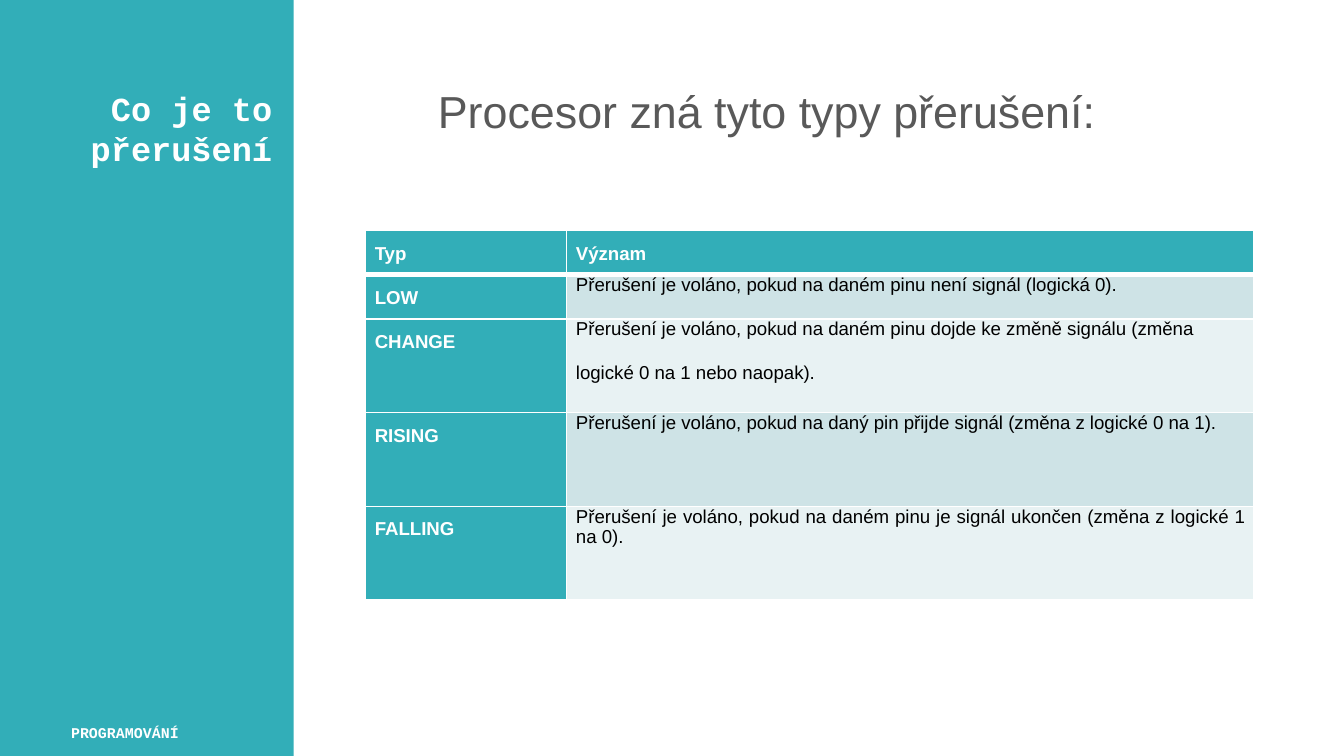
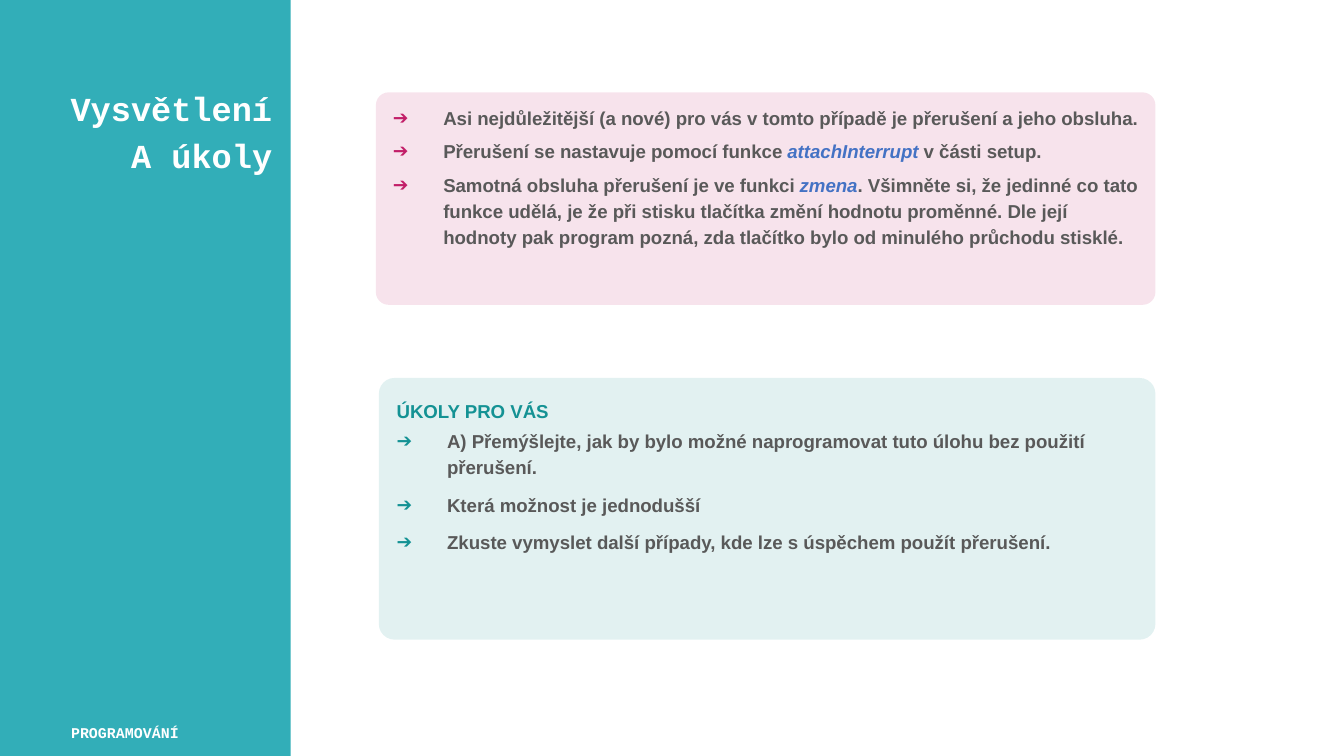
from lxml import etree
from pptx import Presentation
from pptx import util as u
from pptx.dml import color as c
from pptx.enum import shapes, text
from pptx.oxml import ns

# Colours
WHITE = c.RGBColor(0xFF, 0xFF, 0xFF)
BLACK = c.RGBColor(0x00, 0x00, 0x00)
GREY = c.RGBColor(0x59, 0x59, 0x59)
BLUE = c.RGBColor(0x44, 0x72, 0xC4)
TURQUOISE = c.RGBColor(0x32, 0xAE, 0xB8)
TEAL = c.RGBColor(0x14, 0x92, 0x94)
PINK = c.RGBColor(0xC2, 0x1E, 0x68)
ROW_DARK = c.RGBColor(0xCE, 0xE3, 0xE6)
ROW_LIGHT = c.RGBColor(0xE8, 0xF2, 0xF3)

# Fonts and sizes
BODY_FONT = "Arial"
TITLE_FONT = "Courier New"
SLIDE_WIDTH, SLIDE_HEIGHT = 720, 405
BAND_WIDTH = 158.4
TITLE_RIGHT = 153
TITLE_ONLY = 5

# Slide content
INTERRUPT_TYPES = [
    ("Typ", ["Význam"]),
    ("LOW", ["Přerušení je voláno, pokud na daném pinu není signál (logická 0)."]),
    ("CHANGE", ["Přerušení je voláno, pokud na daném pinu dojde ke změně signálu (změna",
                "logické 0 na 1 nebo naopak)."]),
    ("RISING", ["Přerušení je voláno, pokud na daný pin přijde signál (změna z logické 0 na 1)."]),
    ("FALLING", ["Přerušení je voláno, pokud na daném pinu je signál ukončen (změna z logické 1 na 0)."]),
]
# Words between asterisks are emphasised
EXPLANATION = [
    "Asi nejdůležitější (a nové) pro vás v tomto případě je přerušení a jeho obsluha.",
    "Přerušení se nastavuje pomocí funkce *attachInterrupt* v části setup.",
    "Samotná obsluha přerušení je ve funkci *zmena*. Všimněte si, že jedinné co tato funkce "
    "udělá, je že při stisku tlačítka změní hodnotu proměnné. Dle její hodnoty pak program "
    "pozná, zda tlačítko bylo od minulého průchodu stisklé.",
]
TASKS = [
    "A) Přemýšlejte, jak by bylo možné naprogramovat tuto úlohu bez použití přerušení.",
    "Která možnost je jednodušší",
    "Zkuste vymyslet další případy, kde lze s úspěchem použít přerušení.",
]


def add_xml(parent, tag, **attributes):
    return etree.SubElement(parent, ns.qn(tag), attributes)


class Deck:
    """Holds the shared style and the current slide."""

    def __init__(self):
        self.presentation = Presentation()
        self.presentation.slide_width = u.Pt(SLIDE_WIDTH)
        self.presentation.slide_height = u.Pt(SLIDE_HEIGHT)
        self.slide = None

    def style(self, paragraph, size, color, bold=False, name=BODY_FONT,
              align=text.PP_ALIGN.LEFT, line=None, before=0, after=0):
        paragraph.alignment = align
        paragraph.space_before = u.Pt(before)
        paragraph.space_after = u.Pt(after)
        if line:
            paragraph.line_spacing = u.Pt(line)
        font = paragraph.font
        font.name, font.size, font.bold = name, u.Pt(size), bold
        font.color.rgb = color

    def add_slide(self, title, band_left, title_left):
        layout = self.presentation.slide_layouts[TITLE_ONLY]
        self.slide = self.presentation.slides.add_slide(layout)
        self.band(band_left)
        self.title(title, title_left)
        footer = self.text_box("PROGRAMOVÁNÍ", (31, 384, 100, 17.3))
        self.style(footer.paragraphs[0], 8, WHITE, True, TITLE_FONT)

    def shape(self, kind, box, color):
        shape = self.slide.shapes.add_shape(kind, *map(u.Pt, box))
        shape.shadow.inherit = False
        shape.fill.solid()
        shape.fill.fore_color.rgb = color
        shape.line.fill.background()
        return shape

    def band(self, left):
        band = self.shape(shapes.MSO_SHAPE.RECTANGLE,
                          (left, 0, BAND_WIDTH, SLIDE_HEIGHT), TURQUOISE)
        # The band lies behind the title
        self.slide.shapes._spTree.insert(2, band._element)

    def title(self, wording, left):
        title = self.slide.shapes.title
        title.left, title.top = u.Pt(left), u.Pt(43.5)
        title.width, title.height = u.Pt(TITLE_RIGHT - left), u.Pt(113.8)
        frame = title.text_frame
        frame.text = wording
        frame.auto_size = text.MSO_AUTO_SIZE.NONE
        frame.vertical_anchor = text.MSO_ANCHOR.TOP
        for paragraph in frame.paragraphs:
            self.style(paragraph, 18, WHITE, True, TITLE_FONT,
                       text.PP_ALIGN.RIGHT, before=3.6)

    def text_box(self, wording, box):
        frame = self.slide.shapes.add_textbox(*map(u.Pt, box)).text_frame
        frame.text = wording
        frame.word_wrap = True
        frame.auto_size = text.MSO_AUTO_SIZE.SHAPE_TO_FIT_TEXT
        return frame

    def heading(self, wording, box):
        frame = self.text_box(wording, box)
        frame.vertical_anchor = text.MSO_ANCHOR.MIDDLE
        self.style(frame.paragraphs[0], 24, GREY, align=text.PP_ALIGN.JUSTIFY)

    def table(self, rows, left, top, widths, heights):
        frame = self.slide.shapes.add_table(
            len(rows), len(widths), *map(u.Pt, (left, top, sum(widths), sum(heights))))
        table = frame.table
        table.first_row = table.horz_banding = False
        for column, width in zip(table.columns, widths):
            column.width = u.Pt(width)
        for index, (kind, meaning) in enumerate(rows):
            table.rows[index].height = u.Pt(heights[index])
            label, description = table.rows[index].cells
            self.cell(label, [kind], index, True)
            self.cell(description, meaning, index, index == 0)

    def cell(self, cell, lines, row, header):
        cell.margin_left = cell.margin_right = u.Pt(5)
        cell.margin_top = cell.margin_bottom = 0
        # A thick rule separates the head from the body
        borders = {"a:lnL": 1, "a:lnR": 1,
                   "a:lnT": 3 if row == 1 else 1, "a:lnB": 3 if row == 0 else 1}
        properties = cell._tc.get_or_add_tcPr()
        for side, width in borders.items():
            line = add_xml(properties, side, w=str(u.Pt(width)))
            add_xml(add_xml(line, "a:solidFill"), "a:srgbClr", val=str(WHITE))
        cell.fill.solid()
        body_color = ROW_DARK if row % 2 else ROW_LIGHT
        cell.fill.fore_color.rgb = TURQUOISE if header else body_color
        cell.text_frame.text = "\n".join(lines)
        for paragraph in cell.text_frame.paragraphs:
            self.style(paragraph, 10, WHITE if header else BLACK, header,
                       align=text.PP_ALIGN.JUSTIFY, line=18 if header else None, after=12)

    def card(self, box, color, items, after, caption=None):
        card = self.shape(shapes.MSO_SHAPE.ROUNDED_RECTANGLE, box, color)
        card.adjustments[0] = 0.06
        tint = card._element.spPr.find(ns.qn("a:solidFill"))[0]
        add_xml(tint, "a:alpha", val="12000")
        frame = card.text_frame
        frame.word_wrap = True
        frame.vertical_anchor = text.MSO_ANCHOR.TOP
        paragraph = frame.paragraphs[0]
        if caption:
            paragraph.text = caption
            self.style(paragraph, 10, color, True, align=text.PP_ALIGN.JUSTIFY,
                       line=18, before=2, after=2)
            paragraph = frame.add_paragraph()
        for index, item in enumerate(items):
            if index:
                paragraph = frame.add_paragraph()
            self.bullet(paragraph, color)
            self.style(paragraph, 10, GREY, True, line=14, after=after)
            for position, part in enumerate(item.split("*")):
                run = paragraph.add_run()
                run.text = part
                if position % 2:
                    run.font.italic = True
                    run.font.color.rgb = BLUE

    def bullet(self, paragraph, color):
        properties = paragraph._p.get_or_add_pPr()
        indent = u.Pt(27)
        properties.set("marL", str(indent))
        properties.set("indent", str(-indent))
        add_xml(add_xml(properties, "a:buClr"), "a:srgbClr", val=str(color))
        add_xml(properties, "a:buFont", typeface=BODY_FONT)
        add_xml(properties, "a:buChar", char="➔")


def main():
    deck = Deck()

    # Slide 1: types of interrupt
    deck.add_slide("Co je to přerušení", band_left=-1, title_left=-8.6)
    deck.table(INTERRUPT_TYPES, 195.8, 123.5, (107.8, 368.2), [23.7] * 2 + [50.2] * 3)
    deck.heading("Procesor zná tyto typy přerušení:", (227.5, 41.5, 493, 36))

    # Slide 2: explanation and tasks
    deck.add_slide("Vysvětlení\nA úkoly", band_left=-2.7, title_left=-2.9)
    deck.card((201.4, 49.5, 417.6, 113.8), PINK, EXPLANATION, after=4)
    deck.card((203, 202.5, 416, 140.2), TEAL, TASKS, after=6, caption="ÚKOLY PRO VÁS")

    deck.presentation.save("out.pptx")


if __name__ == "__main__":
    main()
